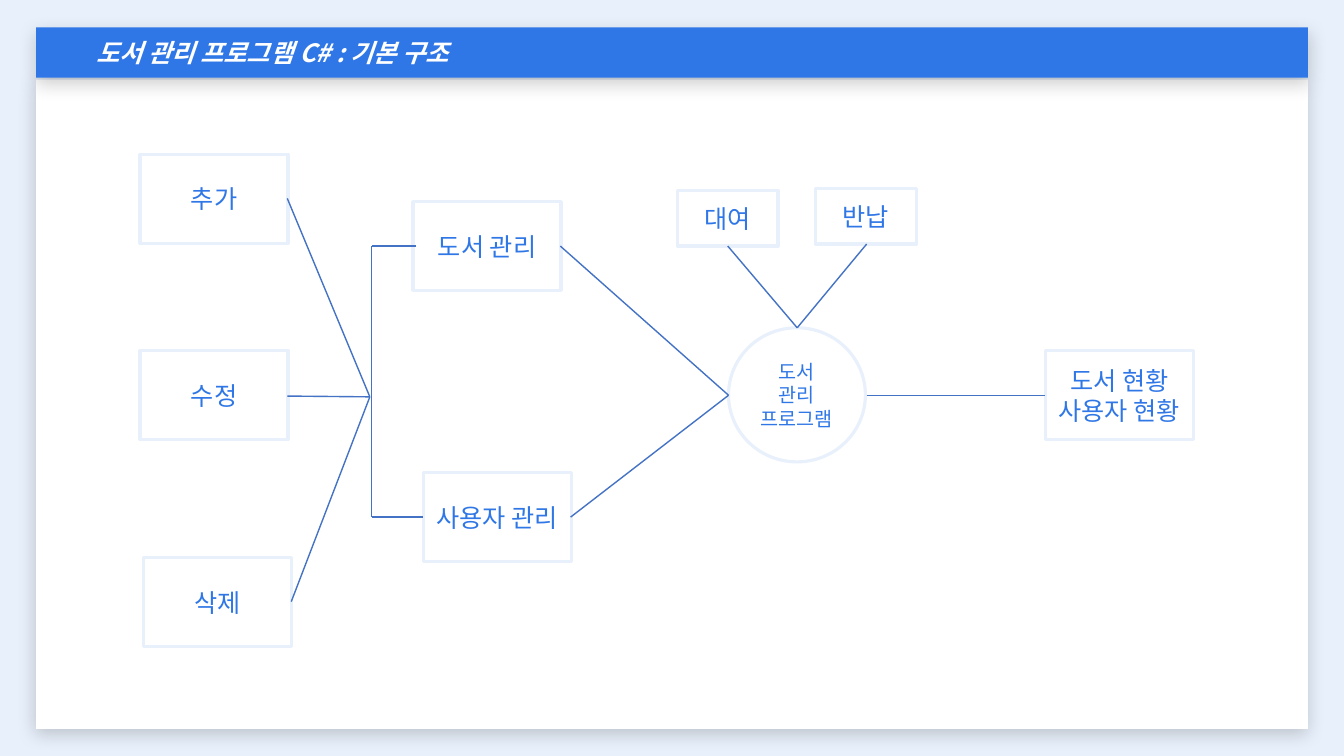
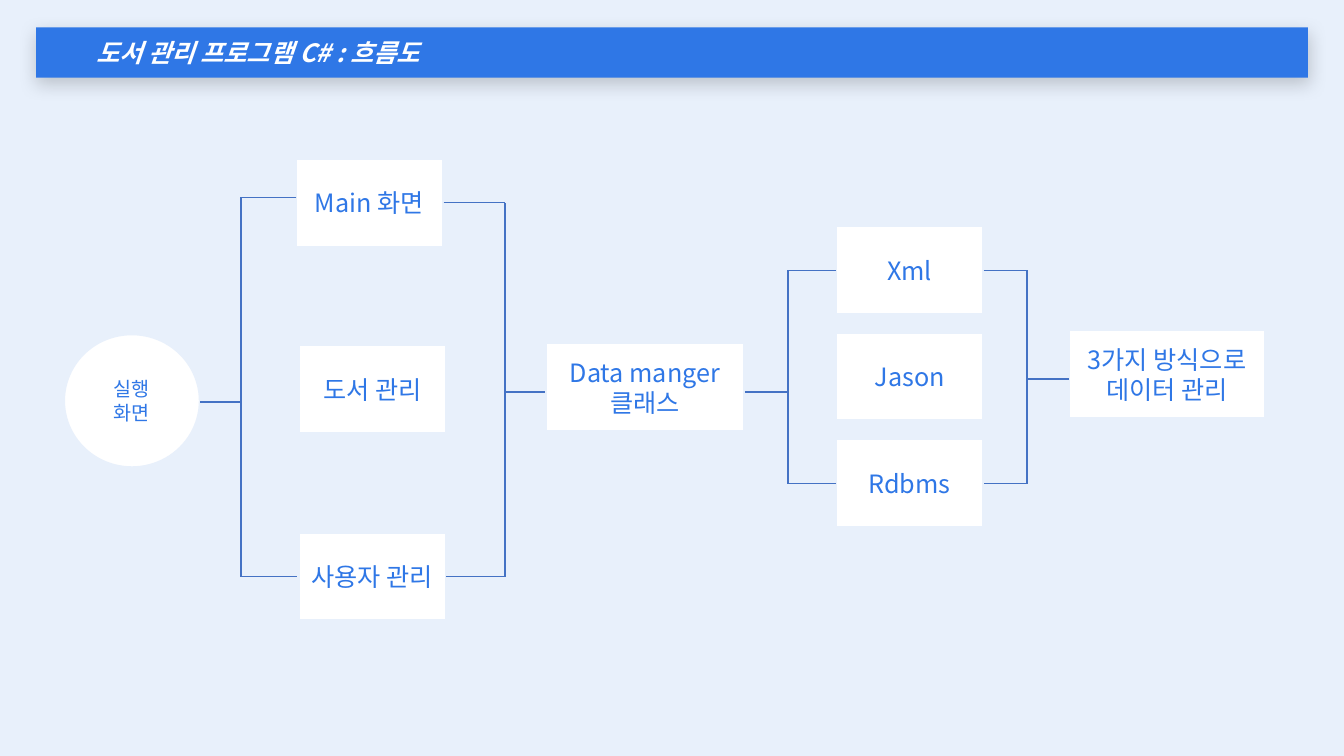
"""Build two diagram slides on the structure and flow of a C# library program."""
from itertools import pairwise

from lxml import etree
from pptx import Presentation
from pptx.dml.color import RGBColor
from pptx.enum.shapes import MSO_CONNECTOR, MSO_SHAPE
from pptx.enum.text import MSO_ANCHOR, MSO_AUTO_SIZE, PP_ALIGN
from pptx.oxml.ns import qn
from pptx.util import Cm, Pt

RECTANGLE, OVAL = MSO_SHAPE.RECTANGLE, MSO_SHAPE.OVAL
STRAIGHT = MSO_CONNECTOR.STRAIGHT
MIDDLE = MSO_ANCHOR.MIDDLE
NO_AUTOFIT = MSO_AUTO_SIZE.NONE
LEFT, CENTER = PP_ALIGN.LEFT, PP_ALIGN.CENTER

COLORS = {
    "background": "E8F0FB",
    "accent": "2F77E6",
    "surface": "FFFFFF",
    "connector": "4472C4",
}
COLORS = {name: RGBColor.from_string(value) for name, value in COLORS.items()}
FONT = "Noto Sans CJK KR"
SIDE, CONTENT_WIDTH = 0.91, 32.05
BOX = (3.73, 2.24)
SMALL = (2.54, 1.4)
CIRCLE = (3.45, 3.38)

HUB = (9.32, 10)
CIRCLE_TOP, CIRCLE_LEFT = (20.09, 8.26), (18.36, 9.96)
FORMAT_TOP, FORMAT_STEP = 5.69, 2.68

SLIDES = [
    {
        "title": "도서 관리 프로그램 C# : 기본 구조",
        "panel": True,
        "nodes": [
            ("도서 관리\n프로그램", 18.36, 8.26, CIRCLE),
            ("도서 관리", 10.41, 5.08, BOX),
            ("사용자 관리", 10.67, 11.91, BOX),
            ("추가", 3.53, 3.89, BOX),
            ("수정", 3.53, 8.84, BOX),
            ("삭제", 3.61, 14.05, BOX),
            ("대여", 17.07, 4.8, SMALL),
            ("반납", 20.55, 4.75, SMALL),
            ("도서 현황\n사용자 현황", 26.34, 8.84, BOX),
        ],
        "routes": [
            [(18.34, 6.2), CIRCLE_TOP, (21.84, 6.15)],
            [(14.12, 6.2), CIRCLE_LEFT, (14.38, 13.03)],
            [(10.49, 6.2), (9.37, 6.2), (9.37, 13.03), (10.67, 13.03)],
            [(7.24, 5), HUB, (7.34, 15.16)],
            [(7.24, 9.98), HUB],
            [(21.84, 9.96), (26.34, 9.96)],
        ],
    },
    {
        "title": "도서 관리 프로그램 C# : 흐름도",
        "panel": False,
        "nodes": [
            ("실행 화면", 1.6, 8.41, CIRCLE),
            ("Data manger\n클래스", 13.74, 8.64, (5.03, 2.24)),
            ("Main 화면", 7.44, 3.99, BOX),
            ("도서 관리", 7.52, 8.69, BOX),
            ("사용자 관리", 7.52, 13.41, BOX),
            *((name, 21.06, FORMAT_TOP + FORMAT_STEP * row, BOX)
              for row, name in enumerate(("Xml", "Jason", "Rdbms"))),
            ("3가지 방식으로 데이터 관리", 26.92, 8.31, (4.98, 2.24)),
        ],
        "routes": [
            [(7.47, 4.97), (6.07, 4.97), (6.07, 14.53), (7.49, 14.53)],
            [(5.05, 10.13), (6.07, 10.13)],
            [(11.18, 5.11), (12.73, 5.11), (12.73, 14.53), (11.25, 14.53)],
            [(12.73, 9.88), (13.74, 9.88)],
            [(18.77, 9.88), (19.86, 9.88)],
            [(21.06, 6.81), (19.86, 6.81), (19.86, 12.19), (21.06, 12.19)],
            [(24.79, 6.81), (25.88, 6.81), (25.88, 12.19), (24.79, 12.19)],
            [(25.88, 9.55), (26.95, 9.55)],
        ],
    },
]


def write(shape, text, size, color, alignment, emphasis=False):
    """Put centred-height text into a shape and format its runs."""
    frame = shape.text_frame
    frame.text = text
    frame.word_wrap = True
    frame.auto_size = NO_AUTOFIT
    frame.vertical_anchor = MIDDLE
    for para in frame.paragraphs:
        para.alignment = alignment
        for span in para.runs:
            font = span.font
            font.name, font.size = FONT, Pt(size)
            font.bold = font.italic = emphasis
            font.color.rgb = COLORS[color]
            east_asian = etree.SubElement(span._r.get_or_add_rPr(), qn("a:ea"))
            east_asian.set("typeface", FONT)


def fill_with_shadow(shape, color):
    """Fill a shape, drop its outline and cast a soft shadow downwards."""
    shape.fill.solid()
    shape.fill.fore_color.rgb = COLORS[color]
    shape.line.fill.background()
    shape.shadow.inherit = False
    effects = shape._element.spPr.find(qn("a:effectLst"))
    shadow = etree.SubElement(effects, qn("a:outerShdw"), blurRad=str(Pt(13)),
                              dist=str(Pt(4)), dir="5400000", algn="t", rotWithShape="0")
    tint = etree.SubElement(shadow, qn("a:srgbClr"), val="000000")
    etree.SubElement(tint, qn("a:alpha"), val="19000")


deck = Presentation()
deck.slide_width, deck.slide_height = Cm(33.87), Cm(19.05)
layout = deck.slide_layouts[5]
layout.background.fill.solid()
layout.background.fill.fore_color.rgb = COLORS["background"]

for content in SLIDES:
    page = deck.slides.add_slide(layout)
    title = page.shapes.title
    title.left, title.top = Cm(SIDE), Cm(0.69)
    title.width, title.height = Cm(CONTENT_WIDTH), Cm(1.27)
    fill_with_shadow(title, "accent")
    write(title, content["title"], 18, "surface", LEFT, emphasis=True)
    title.text_frame.margin_left = Cm(1.52)

    if content["panel"]:
        panel = page.shapes.add_shape(RECTANGLE, Cm(SIDE), Cm(2.01), Cm(CONTENT_WIDTH), Cm(16.36))
        fill_with_shadow(panel, "surface")
        title._element.addprevious(panel._element)

    for text, left, top, (width, height) in content["nodes"]:
        is_circle = (width, height) == CIRCLE
        node = page.shapes.add_shape(OVAL if is_circle else RECTANGLE,
                                     Cm(left), Cm(top), Cm(width), Cm(height))
        node.fill.solid()
        node.fill.fore_color.rgb = COLORS["surface"]
        node.line.color.rgb = COLORS["background"]
        node.line.width = Pt(2.25)
        node.shadow.inherit = False
        write(node, text, 14 if is_circle else 18, "accent", CENTER)
        if is_circle:
            node.text_frame.margin_left = node.text_frame.margin_right = Cm(0.29)

    for route in content["routes"]:
        for start, end in pairwise(route):
            link = page.shapes.add_connector(STRAIGHT, *map(Cm, start + end))
            link.line.color.rgb = COLORS["connector"]
            link.line.width = Pt(1)
            etree.SubElement(link._element.spPr, qn("a:effectLst"))

deck.save("out.pptx")
